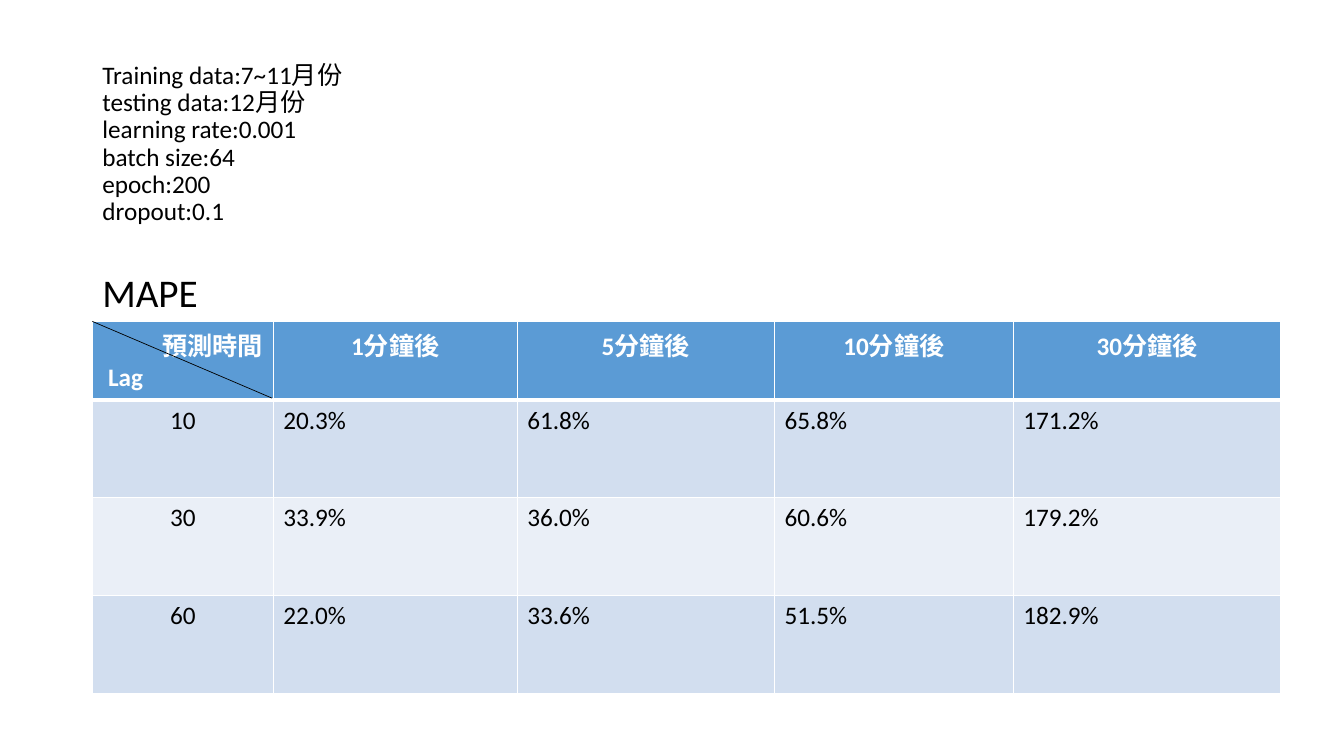
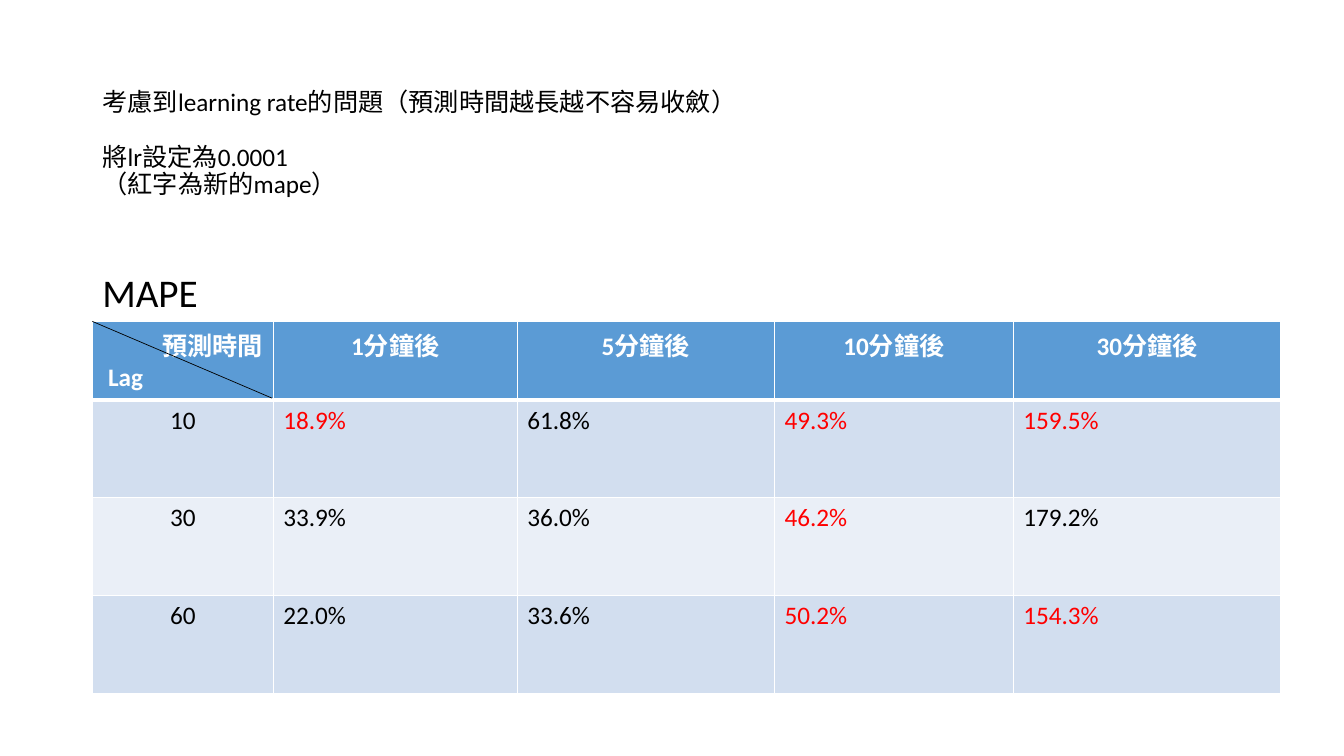
from pptx import Presentation
from pptx.dml.color import RGBColor
from pptx.enum.shapes import MSO_CONNECTOR
from pptx.enum.text import MSO_ANCHOR, MSO_AUTO_SIZE, PP_ALIGN
from pptx.oxml.ns import qn
from pptx.util import Pt
from lxml.etree import SubElement

COLORS = {
    "text": "000000",
    "changed": "FF0000",
    "white": "FFFFFF",
    "header": "5B9BD5",
    "odd_row": "D2DEEF",
    "even_row": "EAEFF7",
}
FONT = "Calibri"
LEFT = 66
TABLE_TOP = 229.6
COLUMN_WIDTHS = [129.2, 174.3, 183.8, 170.5, 191.3]
HEADER_HEIGHT = 56.2
ROW_HEIGHT = 69.8
BLANK_LINE = 19.5

HORIZONS = ["1分鐘後", "5分鐘後", "10分鐘後", "30分鐘後"]
MAPE = {
    "10": ["20.3%", "61.8%", "65.8%", "171.2%"],
    "30": ["33.9%", "36.0%", "60.6%", "179.2%"],
    "60": ["22.0%", "33.6%", "51.5%", "182.9%"],
}
LOWER_RATE_MAPE = {
    ("10", 0): "18.9%",
    ("10", 2): "49.3%",
    ("10", 3): "159.5%",
    ("30", 2): "46.2%",
    ("60", 2): "50.2%",
    ("60", 3): "154.3%",
}
SETTINGS = [
    "Training data:7~11月份",
    "testing data:12月份",
    "learning rate:0.001",
    "batch size:64",
    "epoch:200",
    "dropout:0.1",
]
RATE_CHANGE = [
    "考慮到learning rate的問題（預測時間越長越不容易收斂）",
    "將lr設定為0.0001",
    "（紅字為新的mape）",
]


def rgb(color):
    return RGBColor.from_string(COLORS[color])


def write(paragraph, text, color="text", size=18, bold=False, **layout):
    run = paragraph.add_run()
    run.text = text
    run.font.color.rgb = rgb(color)
    for name, value in {"name": FONT, "size": Pt(size), "bold": bold}.items():
        setattr(run.font, name, value)
    for name, value in layout.items():
        setattr(paragraph, name, value)


def place(shape, left, top, width, height):
    box = {"left": left, "top": top, "width": width, "height": height}
    for name, value in box.items():
        setattr(shape, name, Pt(value))


def add_title(slide, lines, spaced_line=None):
    title = slide.shapes.title
    place(title, LEFT, 28.8, 828, 148.5)
    frame = title.text_frame
    frame_format = {
        "word_wrap": True,
        "auto_size": MSO_AUTO_SIZE.NONE,
        "vertical_anchor": MSO_ANCHOR.MIDDLE,
    }
    for name, value in frame_format.items():
        setattr(frame, name, value)
    for index, line in enumerate(lines):
        paragraph = frame.add_paragraph() if index else frame.paragraphs[0]
        gap = BLANK_LINE if index == spaced_line else 0
        write(paragraph, line, alignment=PP_ALIGN.LEFT, line_spacing=0.9,
              space_before=Pt(gap))


def add_metric_label(slide):
    label = slide.shapes.add_textbox(Pt(LEFT), Pt(188.4), Pt(251.3), Pt(41.2))
    label.text_frame.word_wrap = True
    label.text_frame.auto_size = MSO_AUTO_SIZE.SHAPE_TO_FIT_TEXT
    write(label.text_frame.paragraphs[0], "MAPE", size=28)


def style_cell(cell, fill, top=1, bottom=1):
    properties = cell._tc.get_or_add_tcPr()
    for side, width in {"L": 1, "R": 1, "T": top, "B": bottom}.items():
        border = SubElement(properties, qn(f"a:ln{side}"), w=str(Pt(width)))
        solid = SubElement(border, qn("a:solidFill"))
        SubElement(solid, qn("a:srgbClr"), val=COLORS["white"])
    cell.fill.solid()
    cell.fill.fore_color.rgb = rgb(fill)


def fill_header(table):
    for column, horizon in enumerate(["預測時間"] + HORIZONS):
        cell = table.cell(0, column)
        style_cell(cell, "header", bottom=3)
        alignment = PP_ALIGN.CENTER if column else PP_ALIGN.RIGHT
        write(cell.text_frame.paragraphs[0], horizon, "white", bold=True,
              alignment=alignment)
    lag = table.cell(0, 0).text_frame.add_paragraph()
    write(lag, "Lag", "white", bold=True, alignment=PP_ALIGN.LEFT)
    lag._p.get_or_add_pPr().set("marL", str(Pt(4)))


def fill_results(table, changes):
    for row, (lag, errors) in enumerate(MAPE.items(), 1):
        fill = "odd_row" if row % 2 else "even_row"
        for column in range(len(COLUMN_WIDTHS)):
            style_cell(table.cell(row, column), fill, top=3 if row == 1 else 1)
        write(table.cell(row, 0).text_frame.paragraphs[0], lag,
              alignment=PP_ALIGN.CENTER)
        for index, error in enumerate(errors):
            changed = (lag, index) in changes
            write(table.cell(row, index + 1).text_frame.paragraphs[0],
                  changes.get((lag, index), error),
                  "changed" if changed else "text")


def add_mape_table(slide, changes):
    row_heights = [HEADER_HEIGHT] + [ROW_HEIGHT] * len(MAPE)
    table = slide.shapes.add_table(
        len(row_heights), len(COLUMN_WIDTHS), Pt(LEFT), Pt(TABLE_TOP),
        Pt(sum(COLUMN_WIDTHS)), Pt(sum(row_heights))).table
    for column, width in zip(table.columns, COLUMN_WIDTHS):
        column.width = Pt(width)
    for row, height in zip(table.rows, row_heights):
        row.height = Pt(height)
    fill_header(table)
    fill_results(table, changes)


def add_header_diagonal(slide):
    diagonal = slide.shapes.add_connector(
        MSO_CONNECTOR.STRAIGHT, Pt(LEFT), Pt(TABLE_TOP),
        Pt(LEFT + COLUMN_WIDTHS[0] - 0.8), Pt(TABLE_TOP + HEADER_HEIGHT - 1.4))
    diagonal.line.color.rgb = rgb("text")
    diagonal.line.width = Pt(0.5)
    SubElement(diagonal._element.spPr, qn("a:effectLst"))


def add_results_slide(deck, title_lines, changes, spaced_line=None):
    slide = deck.slides.add_slide(deck.slide_layouts[5])
    add_title(slide, title_lines, spaced_line)
    add_mape_table(slide, changes)
    add_header_diagonal(slide)
    add_metric_label(slide)


def main():
    deck = Presentation()
    deck.slide_width = Pt(960)
    deck.slide_height = Pt(540)
    add_results_slide(deck, SETTINGS, {})
    add_results_slide(deck, RATE_CHANGE, LOWER_RATE_MAPE, spaced_line=1)
    deck.save("out.pptx")


main()
